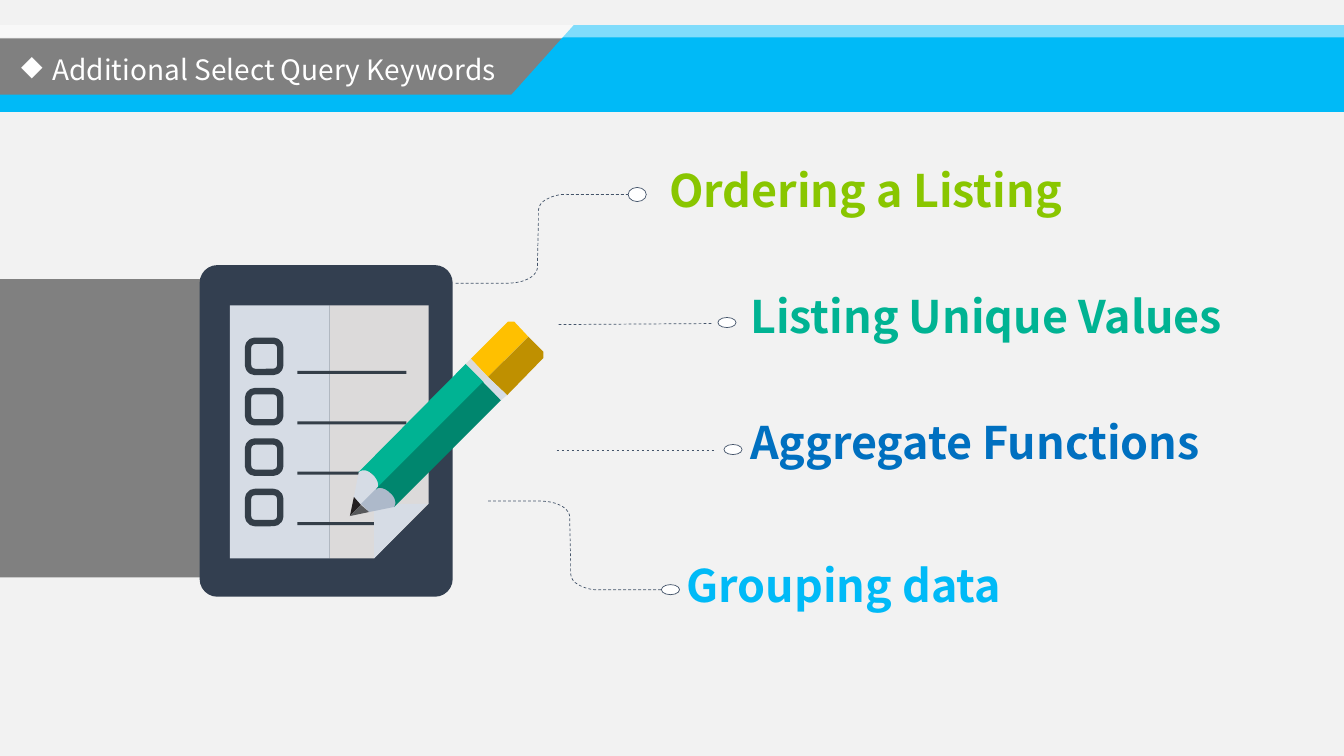
from dataclasses import dataclass

from lxml import etree
from pptx import Presentation
from pptx.dml.color import RGBColor
from pptx.enum.dml import MSO_LINE
from pptx.enum.shapes import MSO_CONNECTOR, MSO_SHAPE
from pptx.enum.text import MSO_ANCHOR, MSO_AUTO_SIZE, PP_ALIGN
from pptx.oxml.ns import qn
from pptx.util import Inches, Pt

RECT, ROUNDED, OVAL = MSO_SHAPE.RECTANGLE, MSO_SHAPE.ROUNDED_RECTANGLE, MSO_SHAPE.OVAL
STRAIGHT, DASH = MSO_CONNECTOR.STRAIGHT, MSO_LINE.DASH
TOP, LEFT, NO_FIT = MSO_ANCHOR.TOP, PP_ALIGN.LEFT, MSO_AUTO_SIZE.NONE


@dataclass(frozen=True)
class Theme:
    font: str = "Noto Sans CJK SC"
    title_size: float = 20
    label_size: float = 32
    hairline: float = 0.5
    backdrop: str = "F2F2F2"
    white: str = "FFFFFF"
    sky: str = "00BAF7"
    grey: str = "808080"
    lime: str = "89C600"
    green: str = "00B393"
    dark_green: str = "00866E"
    blue: str = "0070C0"
    slate: str = "44546A"
    tablet: str = "333F50"
    ink: str = "343E48"
    paper: str = "D6DCE5"
    paper_shade: str = "DCDADA"
    wood_shade: str = "ADB9CA"
    gold: str = "FFC000"
    dark_gold: str = "BF9000"
    lead: str = "231F20"
    lead_light: str = "58595B"


THEME = Theme()


def rgb(value):
    return RGBColor.from_string(value)


def apply(target, values):
    for name, value in values.items():
        setattr(target, name, value)


def paint(shape, fill=None, line=None, weight=THEME.hairline):
    shape.shadow.inherit = False
    if fill:
        shape.fill.solid()
        shape.fill.fore_color.rgb = rgb(fill)
    else:
        shape.fill.background()
    if line:
        shape.line.color.rgb = rgb(line)
        shape.line.width = Pt(weight)
    else:
        shape.line.fill.background()
    return shape


def block(page, kind, box, **look):
    return paint(page.shapes.add_shape(kind, *map(Inches, box)), **look)


def flatten(steps, samples=8):
    points = [steps[0]]
    for step in steps[1:]:
        if len(step) == 2:
            points.append(step)
            continue
        corners = [points[-1], step[:2], step[2:4], step[4:]]
        for index in range(1, samples + 1):
            t = index / samples
            weights = ((1 - t) ** 3, 3 * t * (1 - t) ** 2, 3 * t * t * (1 - t), t ** 3)
            points.append(tuple(sum(w * c[axis] for w, c in zip(weights, corners))
                                for axis in (0, 1)))
    return points


def outline(page, left, top, steps, closed=True, **look):
    points = [(Inches(left + x), Inches(top + y)) for x, y in flatten(steps)]
    builder = page.shapes.build_freeform(*points[0], scale=1.0)
    builder.add_line_segments(points[1:], close=closed)
    return paint(builder.convert_to_shape(), **look)


def write(box, text, size, color, spacing, insets, bold=False):
    frame = box.text_frame
    names = ("margin_left", "margin_top", "margin_right", "margin_bottom")
    apply(frame, dict(zip(names, map(Inches, insets)), word_wrap=True,
                      vertical_anchor=TOP, auto_size=NO_FIT))
    para = frame.paragraphs[0]
    apply(para, {"alignment": LEFT, "line_spacing": spacing, "space_before": Pt(0)})
    span = para.add_run()
    span.text = text
    apply(span.font, {"name": THEME.font, "size": Pt(size), "bold": bold})
    span.font.color.rgb = rgb(color)
    return para


def draw_header(page, left, top, width):
    block(page, RECT, (left, top + 0.31, width, 0.55), fill=THEME.sky)
    block(page, RECT, (left, top + 0.13, width, 0.56), fill=THEME.grey)
    outline(page, left, top, [(5.69, 0), (width, 0), (width, 0.86), (4.92, 0.86)],
            fill=THEME.sky)
    strip = block(page, RECT, (left, top, width, 0.12), fill=THEME.white)
    color = strip.element.spPr.find(qn("a:solidFill"))[0]
    etree.SubElement(color, qn("a:alpha"), val="50000")


def place_title(page, text, left, top, width, height):
    title = page.shapes.title
    apply(title, dict(zip(("left", "top", "width", "height"),
                          map(Inches, (left, top, width, height)))))
    para = write(title, text, THEME.title_size, THEME.white, 1.2, (0.16, 0.08, 0.16, 0.08))
    properties = para._p.get_or_add_pPr()
    properties.set("marL", str(Inches(0.31)))
    properties.set("indent", str(Inches(-0.31)))
    etree.SubElement(properties, qn("a:buChar"), char="◆")
    title.element.getparent().append(title.element)


def draw_tablet(page, left, top):
    body = block(page, ROUNDED, (left, top, 2.51, 3.29), fill=THEME.tablet)
    body.adjustments[0] = 0.07
    outline(page, left, top, [(1.29, 0.4), (2.27, 0.4), (2.27, 2.37), (1.73, 2.91),
                              (1.29, 2.91)], fill=THEME.paper_shade)
    block(page, RECT, (left + 0.3, top + 0.4, 0.99, 2.51), fill=THEME.paper)
    for row in range(4):
        y = top + 0.75 + row * 0.5
        check = block(page, ROUNDED, (left + 0.48, y, 0.32, 0.31),
                      line=THEME.ink, weight=4.5)
        check.adjustments[0] = 0.22
        block(page, RECT, (left + 0.97, y + 0.3, 1.08, 0.03), fill=THEME.ink)
    outline(page, left, top, [(2.26, 2.37), (1.73, 2.37), (1.73, 2.91)], fill=THEME.paper)


def draw_pencil(page, left, top):
    parts = (
        (THEME.paper, [(0.23, 1.52), (0.18, 1.47, 0.12, 1.46, 0.09, 1.49), (0.04, 1.74),
                       (0.11, 1.82), (0.27, 1.66), (0.3, 1.64, 0.28, 1.57, 0.23, 1.52)]),
        (THEME.wood_shade, [(0.41, 1.69), (0.36, 1.64, 0.3, 1.64, 0.26, 1.66), (0.11, 1.81),
                            (0.19, 1.89), (0.44, 1.84), (0.47, 1.81, 0.46, 1.75, 0.41, 1.69)]),
        (THEME.lead, [(0.04, 1.74), (0, 1.93), (0.11, 1.82)]),
        (THEME.lead_light, [(0.11, 1.82), (0, 1.93), (0.19, 1.89)]),
        (THEME.green, [(1.15, 0.42), (0.08, 1.5), (0.12, 1.46, 0.18, 1.47, 0.23, 1.52),
                       (0.28, 1.57, 0.3, 1.64, 0.26, 1.67), (1.33, 0.6)]),
        (THEME.dark_green, [(1.32, 0.6), (0.26, 1.66), (0.29, 1.64, 0.35, 1.65, 0.4, 1.7),
                            (0.46, 1.75, 0.46, 1.81, 0.44, 1.84), (1.5, 0.78)]),
        (THEME.gold, [(1.77, 0.15), (1.63, 0), (1.57, 0), (1.2, 0.37), (1.37, 0.55)]),
        (THEME.dark_gold, [(1.56, 0.73), (1.92, 0.36), (1.92, 0.3), (1.77, 0.15),
                           (1.37, 0.55)]),
        (THEME.paper_shade, [(1.37, 0.55), (1.2, 0.37), (1.15, 0.42), (1.33, 0.6)]),
        (THEME.paper, [(1.33, 0.6), (1.5, 0.78), (1.56, 0.73), (1.37, 0.55)]),
    )
    for color, steps in parts:
        outline(page, left, top, steps, fill=color)


def draw_bent_lead(page, left, top, direction):
    bends = ([(0, 0), (0.49, 0), (0.57, 0, 0.65, 0.01, 0.71, 0.04),
              (0.78, 0.07, 0.82, 0.13, 0.81, 0.18), (0.82, 0.62)],
             [(0.82, 0.62), (0.82, 0.7), (0.82, 0.74, 0.83, 0.79, 0.88, 0.82),
              (0.94, 0.86, 1.03, 0.89, 1.13, 0.88), (1.89, 0.88)])
    for bend in bends:
        steps = [tuple(value * direction if index % 2 else value
                       for index, value in enumerate(step)) for step in bend]
        lead = outline(page, left, top, steps, closed=False, line=THEME.slate)
        lead.line.dash_style = DASH


def draw_straight_lead(page, start, end):
    lead = page.shapes.add_connector(STRAIGHT, *map(Inches, start + end))
    apply(lead.line, {"width": Pt(THEME.hairline), "dash_style": DASH})
    lead.line.color.rgb = rgb(THEME.slate)
    etree.SubElement(lead.element.spPr, qn("a:effectLst"))


def place_topic(page, text, color, marker, label):
    block(page, OVAL, marker, fill=THEME.white, line=THEME.slate)
    box = page.shapes.add_textbox(*map(Inches, label))
    write(box, text, THEME.label_size, color, 0.9, (0.08, 0, 0.08, 0), bold=True)


def build_topics_slide(deck):
    page = deck.slides.add_slide(deck.slide_layouts[5])
    page.background.fill.solid()
    page.background.fill.fore_color.rgb = rgb(THEME.backdrop)
    draw_header(page, 0, 0.25, 13.33)
    block(page, RECT, (0, 2.77, 4.31, 2.96), fill=THEME.grey)
    draw_tablet(page, 1.98, 2.63)
    draw_pencil(page, 3.47, 3.19)
    draw_bent_lead(page, 4.52, 2.81, -1)
    draw_bent_lead(page, 4.84, 4.97, 1)
    draw_straight_lead(page, (5.54, 3.22), (7.06, 3.21))
    draw_straight_lead(page, (5.52, 4.47), (7.08, 4.47))
    topics = (
        ("Ordering a Listing", THEME.lime, (6.23, 1.86, 0.18, 0.14), (6.56, 1.67, 4.43, 0.57)),
        ("Listing Unique Values", THEME.green, (7.12, 3.15, 0.18, 0.1), (7.36, 2.92, 5.52, 0.6)),
        ("Aggregate Functions", THEME.blue, (7.18, 4.41, 0.18, 0.1), (7.36, 4.17, 5.61, 0.47)),
        ("Grouping data", THEME.sky, (6.56, 5.8, 0.18, 0.1), (6.73, 5.59, 4.43, 0.32)),
    )
    for topic in topics:
        place_topic(page, *topic)
    place_title(page, "Additional Select Query Keywords", 0.05, 0.37, 6.37, 0.46)


def main():
    deck = Presentation()
    apply(deck, {"slide_width": Inches(13.33), "slide_height": Inches(7.5)})
    build_topics_slide(deck)
    deck.save("out.pptx")


if __name__ == "__main__":
    main()
